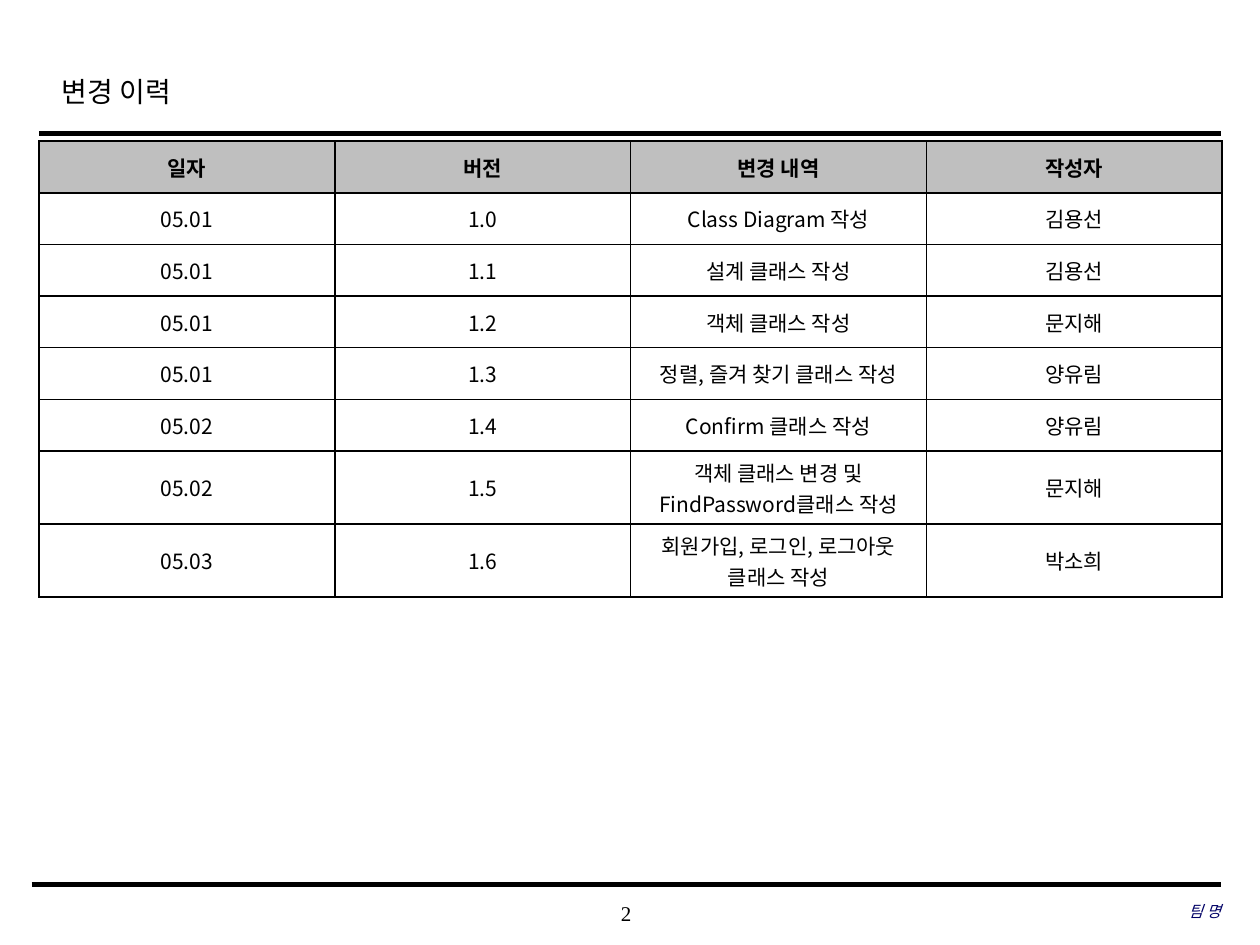
import dataclasses

import lxml.etree
import pptx
import pptx.dml.color
import pptx.enum.shapes
import pptx.enum.text
import pptx.oxml.ns
import pptx.util

Inches = pptx.util.Inches
Align = pptx.enum.text.PP_ALIGN
Anchor = pptx.enum.text.MSO_ANCHOR
qn = pptx.oxml.ns.qn

HISTORY = [
    ("일자", "버전", "변경 내역", "작성자"),
    ("05.01", "1.0", "Class Diagram 작성", "김용선"),
    ("05.01", "1.1", "설계 클래스 작성", "김용선"),
    ("05.01", "1.2", "객체 클래스 작성", "문지해"),
    ("05.01", "1.3", "정렬, 즐겨 찾기 클래스 작성", "양유림"),
    ("05.02", "1.4", "Confirm 클래스 작성", "양유림"),
    ("05.02", "1.5", "객체 클래스 변경 및 FindPassword클래스 작성", "문지해"),
    ("05.03", "1.6", "회원가입, 로그인, 로그아웃 클래스 작성", "박소희"),
]
ROW_HEIGHTS = [0.41] * 6 + [0.58] * 2


@dataclasses.dataclass(frozen=True)
class Theme:
    black: str = "000000"
    white: str = "FFFFFF"
    navy: str = "000066"
    header_gray: str = "BFBFBF"
    serif: str = "Times New Roman"
    sans: str = "Noto Sans CJK KR"
    title_size: int = 16
    body_size: int = 12
    footer_size: int = 9
    border_width: int = 1


class SlideBuilder:
    """Draws styled elements on one slide."""

    def __init__(self, slide, theme):
        self.slide = slide
        self.theme = theme

    def color(self, value):
        return pptx.dml.color.RGBColor.from_string(value)

    def format_text(self, paragraph, face, size, color, align=Align.LEFT, bold=False, italic=False):
        paragraph.alignment = align
        font = paragraph.font
        font.name = face
        font.size = pptx.util.Pt(size)
        font.bold = bold
        font.italic = italic
        font.color.rgb = self.color(color)
        properties = paragraph._p.pPr.find(qn("a:defRPr"))
        east_asian = lxml.etree.SubElement(properties, qn("a:ea"))
        east_asian.set("typeface", self.theme.sans)

    def title(self, text, left, top, width, height):
        shape = self.slide.shapes.title
        shape.left, shape.top = Inches(left), Inches(top)
        shape.width, shape.height = Inches(width), Inches(height)
        frame = shape.text_frame
        frame.text = text
        frame.vertical_anchor = Anchor.MIDDLE
        paragraph = frame.paragraphs[0]
        paragraph.line_spacing = 1.2
        self.format_text(paragraph, self.theme.serif, self.theme.title_size, self.theme.black)

    def footer(self, text, left, top, width, height, **style):
        shape = self.slide.shapes.add_textbox(Inches(left), Inches(top), Inches(width), Inches(height))
        frame = shape.text_frame
        frame.word_wrap = True
        frame.vertical_anchor = Anchor.MIDDLE
        frame.margin_left = frame.margin_right = frame.margin_top = frame.margin_bottom = 0
        frame.text = text
        self.format_text(frame.paragraphs[0], self.theme.serif, **style)

    def rule(self, left, right, top, width):
        line = self.slide.shapes.add_connector(
            pptx.enum.shapes.MSO_CONNECTOR.STRAIGHT,
            Inches(left), Inches(top), Inches(right), Inches(top))
        line.line.color.rgb = self.color(self.theme.black)
        line.line.width = pptx.util.Pt(width)
        lxml.etree.SubElement(line._element.spPr, qn("a:effectLst"))

    def border(self, cell):
        properties = cell._tc.get_or_add_tcPr()
        for index, side in enumerate(("a:lnL", "a:lnR", "a:lnT", "a:lnB")):
            line = lxml.etree.Element(qn(side), w=str(pptx.util.Pt(self.theme.border_width)))
            fill = lxml.etree.SubElement(line, qn("a:solidFill"))
            lxml.etree.SubElement(fill, qn("a:srgbClr"), val=self.theme.black)
            properties.insert(index, line)

    def table(self, rows, row_heights, left, top, width):
        shape = self.slide.shapes.add_table(
            len(rows), len(rows[0]), Inches(left), Inches(top),
            Inches(width), Inches(sum(row_heights)))
        for row_index, (row, height) in enumerate(zip(rows, row_heights)):
            header = row_index == 0
            shape.table.rows[row_index].height = Inches(height)
            for column_index, text in enumerate(row):
                cell = shape.table.cell(row_index, column_index)
                cell.text = text
                cell.vertical_anchor = Anchor.MIDDLE
                cell.fill.solid()
                cell.fill.fore_color.rgb = self.color(
                    self.theme.header_gray if header else self.theme.white)
                self.border(cell)
                self.format_text(cell.text_frame.paragraphs[0], self.theme.sans,
                                 self.theme.body_size, self.theme.black, Align.CENTER, bold=header)


def main():
    presentation = pptx.Presentation()
    presentation.slide_width = Inches(10)
    presentation.slide_height = Inches(7.5)
    theme = Theme()
    builder = SlideBuilder(presentation.slides.add_slide(presentation.slide_layouts[5]), theme)
    builder.footer("2", 3.93, 7.08, 2.08, 0.33,
                   size=theme.body_size, color=theme.black, align=Align.CENTER)
    builder.rule(0.31, 9.69, 1.06, 2.5)
    builder.rule(0.25, 9.69, 7.02, 3)
    builder.title("변경 이력", 0.39, 0.45, 7.55, 0.5)
    builder.footer("팀 명", 6.63, 7.07, 3.06, 0.33,
                   size=theme.footer_size, color=theme.navy, align=Align.RIGHT, italic=True)
    builder.table(HISTORY, ROW_HEIGHTS, 0.31, 1.12, 9.39)
    presentation.save("out.pptx")


if __name__ == "__main__":
    main()
